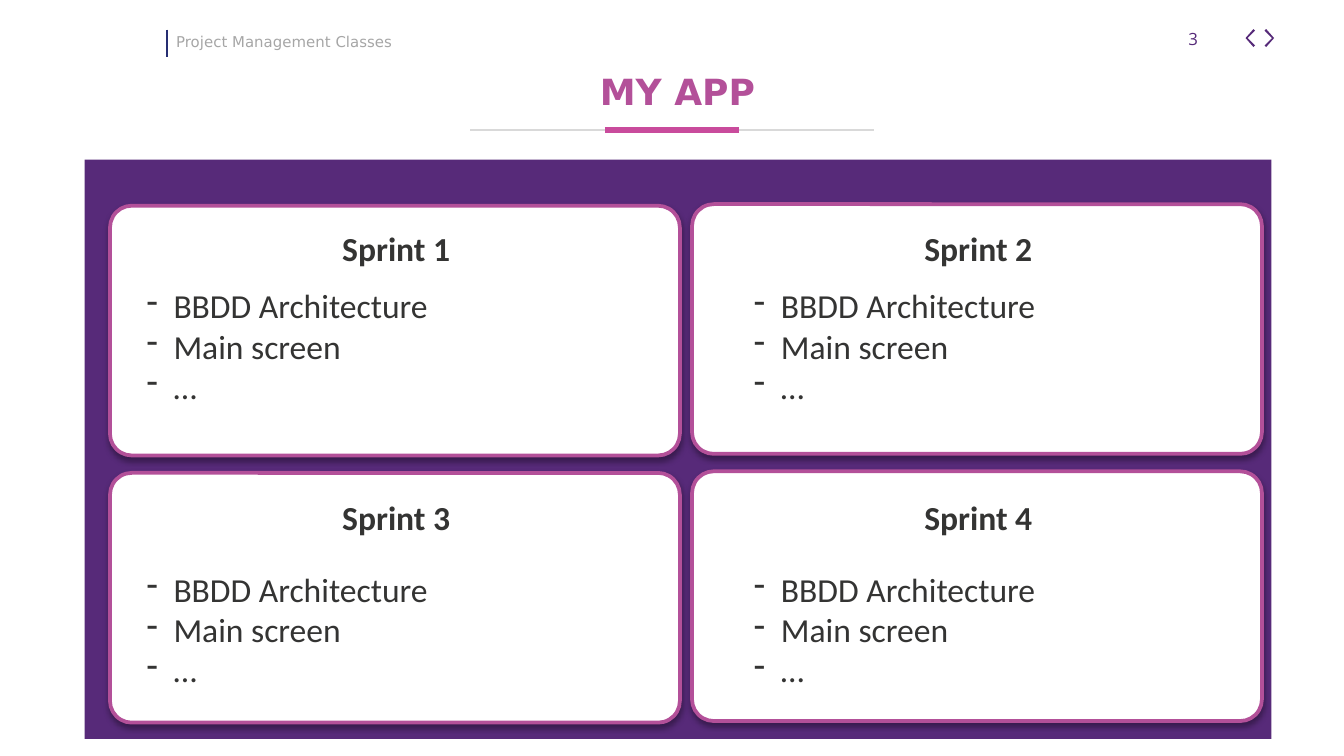
from dataclasses import dataclass

from lxml import etree
from pptx import Presentation
from pptx.dml.color import RGBColor
from pptx.enum.shapes import MSO_CONNECTOR, MSO_SHAPE
from pptx.enum.text import MSO_ANCHOR, MSO_AUTO_SIZE, PP_ALIGN
from pptx.oxml.ns import qn
from pptx.util import Cm, Pt

STRAIGHT = MSO_CONNECTOR.STRAIGHT
RECTANGLE, ROUNDED = MSO_SHAPE.RECTANGLE, MSO_SHAPE.ROUNDED_RECTANGLE
TOP, BOTTOM = MSO_ANCHOR.TOP, MSO_ANCHOR.BOTTOM
LEFT, CENTER = PP_ALIGN.LEFT, PP_ALIGN.CENTER


# Colours and type
@dataclass(frozen=True)
class Theme:
    purple: str = "562A79"
    panel: str = "572A79"
    pink: str = "B35099"
    accent: str = "C94B9C"
    navy: str = "262E72"
    rule: str = "D9D9D9"
    muted: str = "A6A6A6"
    text: str = "343433"
    white: str = "FFFFFF"
    heading_font: str = "DejaVu Sans"
    number_font: str = "Open Sans"
    body_font: str = "Calibri"
    header_size: float = 8
    number_size: float = 9
    title_size: float = 19.3
    body_size: float = 18


@dataclass(frozen=True)
class TextStyle:
    font: str
    size: float
    color: str
    bold: bool = False
    align: PP_ALIGN = LEFT
    anchor: MSO_ANCHOR = TOP
    wrap: bool = True


# Positions and lengths are in centimetres
@dataclass(frozen=True)
class Box:
    left: float
    top: float
    width: float
    height: float

    def moved(self, right: float, down: float) -> "Box":
        return Box(self.left + right, self.top + down, self.width, self.height)

    def lengths(self) -> tuple:
        return Cm(self.left), Cm(self.top), Cm(self.width), Cm(self.height)


@dataclass(frozen=True)
class Rule:
    start: tuple
    end: tuple
    color: str
    weight: float


@dataclass(frozen=True)
class Sprint:
    name: str
    column: int
    row: int
    tasks: tuple = ("BBDD Architecture", "Main screen", "…")


THEME = Theme()
HEADER = TextStyle(THEME.heading_font, THEME.header_size, THEME.muted)
NUMBER = TextStyle(THEME.number_font, THEME.number_size, THEME.purple, wrap=False)
TITLE = TextStyle(THEME.heading_font, THEME.title_size, THEME.pink, True, CENTER, BOTTOM)
SPRINT_NAME = TextStyle(THEME.body_font, THEME.body_size, THEME.text, True, CENTER, wrap=False)
TASKS = TextStyle(THEME.body_font, THEME.body_size, THEME.text)

INSET = 0.13
BULLET_INDENT = 0.51
CARD = Box(2.08, 3.89, 10.77, 4.72)
NAME = Box(6.32, 4.17, 2.34, 1.04)
TASK_LIST = Box(2.64, 5.26, 8.71, 2.59)
COLUMN_STEP, CARD_ROW_STEP = 11, 5.05
COLUMN_RISE = 0.03
NAME_ROW_STEP = 5.1
LIST_COLUMN_STEP, LIST_ROW_STEP = 11.48, 5.36

RULES = [
    Rule((3.15, 0.56), (3.15, 1.07), THEME.navy, 1),
    Rule((8.89, 2.46), (16.51, 2.46), THEME.rule, 0.75),
    Rule((11.43, 2.46), (13.97, 2.46), THEME.accent, 3),
]
SPRINTS = [Sprint(f"Sprint {i + 1}", column=i % 2, row=i // 2) for i in range(4)]


def add_text(slide, box: Box, lines: tuple, style: TextStyle):
    frame = slide.shapes.add_textbox(*box.lengths()).text_frame
    frame.word_wrap = style.wrap
    frame.auto_size = MSO_AUTO_SIZE.NONE
    frame.vertical_anchor = style.anchor
    frame.margin_left = frame.margin_right = Cm(INSET)
    frame.margin_top = frame.margin_bottom = Cm(INSET)
    frame.text = "\n".join(lines)
    for paragraph in frame.paragraphs:
        paragraph.alignment = style.align
        for run in paragraph.runs:
            run.font.name = style.font
            run.font.size = Pt(style.size)
            run.font.bold = style.bold
            run.font.color.rgb = RGBColor.from_string(style.color)
    return frame


def add_bullets(frame) -> None:
    for paragraph in frame.paragraphs:
        properties = paragraph._p.get_or_add_pPr()
        properties.set("marL", str(Cm(BULLET_INDENT)))
        properties.set("indent", str(-Cm(BULLET_INDENT)))
        etree.SubElement(properties, qn("a:buChar"), char="-")


def paint(shape, color: str) -> None:
    shape.shadow.inherit = False
    shape.fill.solid()
    shape.fill.fore_color.rgb = RGBColor.from_string(color)
    shape.line.fill.background()


def add_rule(slide, rule: Rule) -> None:
    ends = [Cm(value) for value in rule.start + rule.end]
    connector = slide.shapes.add_connector(STRAIGHT, *ends)
    connector.line.color.rgb = RGBColor.from_string(rule.color)
    connector.line.width = Pt(rule.weight)
    etree.SubElement(connector._element.spPr, qn("a:effectLst"))


def add_chevron(slide, tip: float, direction: int) -> None:
    middle, half, depth, stroke = 0.72, 0.17, 0.15, 0.03
    back = tip - direction * depth
    edge = back - direction * stroke
    points = [
        (back, middle - half), (tip, middle), (back, middle + half),
        (edge, middle + half - stroke), (tip - direction * 0.04, middle),
        (edge, middle - half + stroke),
    ]
    corners = [(Cm(x), Cm(y)) for x, y in points]
    builder = slide.shapes.build_freeform(*corners[0])
    builder.add_line_segments(corners[1:], close=True)
    paint(builder.convert_to_shape(), THEME.purple)


def add_card(slide, box: Box) -> None:
    card = slide.shapes.add_shape(ROUNDED, *box.lengths())
    card.adjustments[0] = 0.087
    paint(card, THEME.white)
    card.line.color.rgb = RGBColor.from_string(THEME.pink)
    card.line.width = Pt(2)
    # Soft shadow below the card
    effects = card._element.spPr.find(qn("a:effectLst"))
    shadow = etree.SubElement(effects, qn("a:outerShdw"), blurRad=str(Pt(3)),
                              dist=str(Pt(1.8)), dir="5400000", rotWithShape="0")
    black = etree.SubElement(shadow, qn("a:srgbClr"), val="000000")
    etree.SubElement(black, qn("a:alpha"), val="35000")


def add_sprint(slide, sprint: Sprint) -> None:
    column, row = sprint.column, sprint.row
    add_card(slide, CARD.moved(column * COLUMN_STEP, row * CARD_ROW_STEP - column * COLUMN_RISE))
    add_text(slide, NAME.moved(column * COLUMN_STEP, row * NAME_ROW_STEP),
             (sprint.name,), SPRINT_NAME)
    add_bullets(add_text(slide, TASK_LIST.moved(column * LIST_COLUMN_STEP, row * LIST_ROW_STEP),
                         sprint.tasks, TASKS))


presentation = Presentation()
presentation.slide_width, presentation.slide_height = Cm(25.4), Cm(14.29)
slide = presentation.slides.add_slide(presentation.slide_layouts[6])

# Header
add_text(slide, Box(3.2, 0.48, 4.75, 0.61), ("Project Management Classes",), HEADER)
add_chevron(slide, 24.08, 1)
add_chevron(slide, 23.54, -1)
for rule in RULES:
    add_rule(slide, rule)
add_text(slide, Box(22.33, 0.41, 0.46, 0.64), ("3",), NUMBER)
add_text(slide, Box(3.28, 1.19, 19.05, 1.07), ("MY APP",), TITLE)

# Sprint board
paint(slide.shapes.add_shape(RECTANGLE, *Box(1.6, 3.02, 22.43, 10.95).lengths()), THEME.panel)
for sprint in SPRINTS:
    add_sprint(slide, sprint)

presentation.save("out.pptx")
